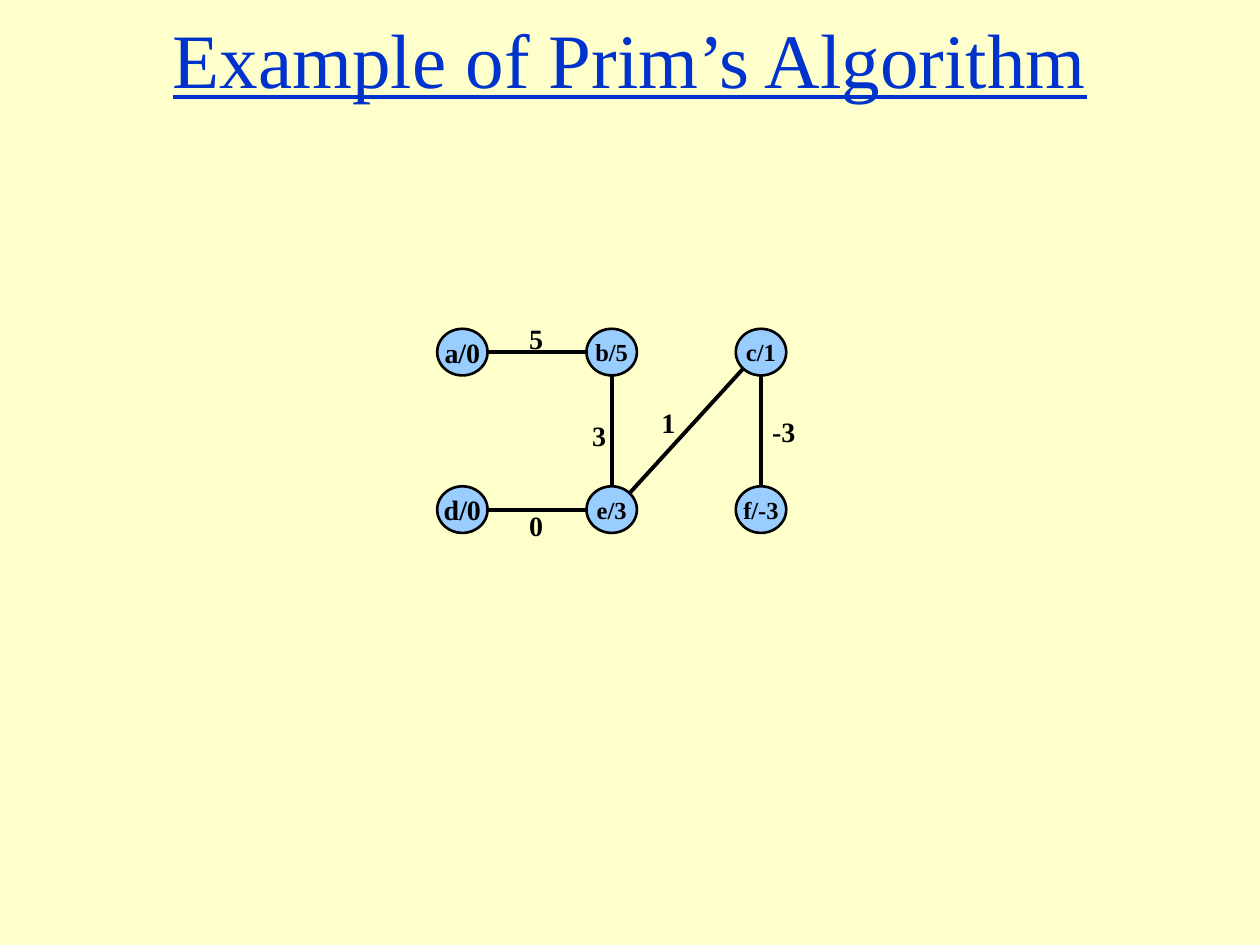
import math

from pptx import Presentation
from pptx import util as u
from pptx.dml.color import RGBColor
from pptx.enum import shapes, text
from pptx.oxml.ns import qn
from lxml import etree

FONT = "Times New Roman"
NODE_W, NODE_H = 0.4, 0.37
NODES = {"a/0": (0, 0, 16), "b/5": (1, 0, 14), "c/1": (2, 0, 14),
         "d/0": (0, 1, 16), "e/3": (1, 1, 14), "f/-3": (2, 1, 14)}
EDGES = [("a/0", "b/5"), ("b/5", "e/3"), ("d/0", "e/3"), ("e/3", "c/1"), ("c/1", "f/-3")]
WEIGHTS = [("5", 0.63, -0.11, 0.31), ("3", 1.13, 0.66, 0.31), ("0", 0.63, 1.38, 0.31),
           ("1", 1.68, 0.56, 0.31), ("-3", 2.56, 0.63, 0.42)]


def color(value):
    """Return the colour for a hex string."""
    return RGBColor.from_string(value)


def add_text(sp, words, size, align, value="000000", bold=True, underline=False):
    """Write one formatted run into a shape."""
    p = sp.text_frame.paragraphs[0]
    p.alignment = align
    r = p.add_run()
    r.text = words
    r.font.name, r.font.size = FONT, u.Pt(size)
    r.font.bold, r.font.underline = bold, underline
    r.font.color.rgb = color(value)


def add_title(s, left, top, width, height):
    """Place the underlined title in its box."""
    sp = s.shapes.title
    sp.left, sp.top, sp.width, sp.height = map(u.Inches, (left, top, width, height))
    tf = sp.text_frame
    tf.auto_size = text.MSO_AUTO_SIZE.NONE
    tf.vertical_anchor = text.MSO_ANCHOR.MIDDLE
    add_text(sp, "Example of Prim’s Algorithm", 44, text.PP_ALIGN.CENTER,
             "0033CC", bold=False, underline=True)


def add_node(s, words, size, left, top):
    """Draw one labelled graph node."""
    sp = s.shapes.add_shape(shapes.MSO_SHAPE.OVAL, u.Inches(left), u.Inches(top),
                            u.Inches(NODE_W), u.Inches(NODE_H))
    sp.shadow.inherit = False
    sp.fill.solid()
    sp.fill.fore_color.rgb = color("99CCFF")
    sp.line.color.rgb = color("000000")
    sp.line.width = u.Pt(1.5)
    sp.text_frame.word_wrap = False
    sp.text_frame.vertical_anchor = text.MSO_ANCHOR.MIDDLE
    add_text(sp, words, size, text.PP_ALIGN.CENTER)


def rim_point(start, end):
    """Return the centre of a node moved to its rim in the direction of another."""
    dx, dy = ((e > b) - (e < b) for b, e in zip(start, end))
    reach = math.hypot(dx, dy)
    return (start[0] + NODE_W / 2 * (1 + dx / reach),
            start[1] + NODE_H / 2 * (1 + dy / reach))


def add_edge(s, start, end):
    """Draw a line between the rims of two nodes."""
    points = rim_point(start, end) + rim_point(end, start)
    line = s.shapes.add_connector(shapes.MSO_CONNECTOR.STRAIGHT, *map(u.Inches, points))
    line.line.color.rgb = color("000000")
    line.line.width = u.Pt(2.25)
    etree.SubElement(line._element.spPr, qn("a:effectLst"))


def add_weight(s, words, left, top, width):
    """Write one edge weight."""
    sp = s.shapes.add_textbox(*map(u.Inches, (left, top, width, 0.37)))
    sp.text_frame.word_wrap = False
    sp.text_frame.auto_size = text.MSO_AUTO_SIZE.SHAPE_TO_FIT_TEXT
    add_text(sp, words, 16, text.PP_ALIGN.LEFT)


def add_graph(s, left, top, width, height):
    """Lay out the spanning tree as three columns and two rows in its box."""
    col_step, row_step = (width - NODE_W) / 2, height - NODE_H
    spots = {name: (left + col * col_step, top + row * row_step)
             for name, (col, row, _) in NODES.items()}
    for name, (_, _, size) in NODES.items():
        add_node(s, name, size, *spots[name])
    for start, end in EDGES:
        add_edge(s, spots[start], spots[end])
    for words, dx, dy, box_width in WEIGHTS:
        add_weight(s, words, left + dx, top + dy, box_width)


def main():
    """Build and save the slide."""
    prs = Presentation()
    prs.slide_width, prs.slide_height = u.Inches(10), u.Inches(7.5)
    s = prs.slides.add_slide(prs.slide_layouts[5])
    s.background.fill.solid()
    s.background.fill.fore_color.rgb = color("FFFFCC")
    add_title(s, 0.75, 0, 8.5, 0.92)
    add_graph(s, 3.47, 2.61, 2.77, 1.62)
    prs.save("out.pptx")


if __name__ == "__main__":
    main()
